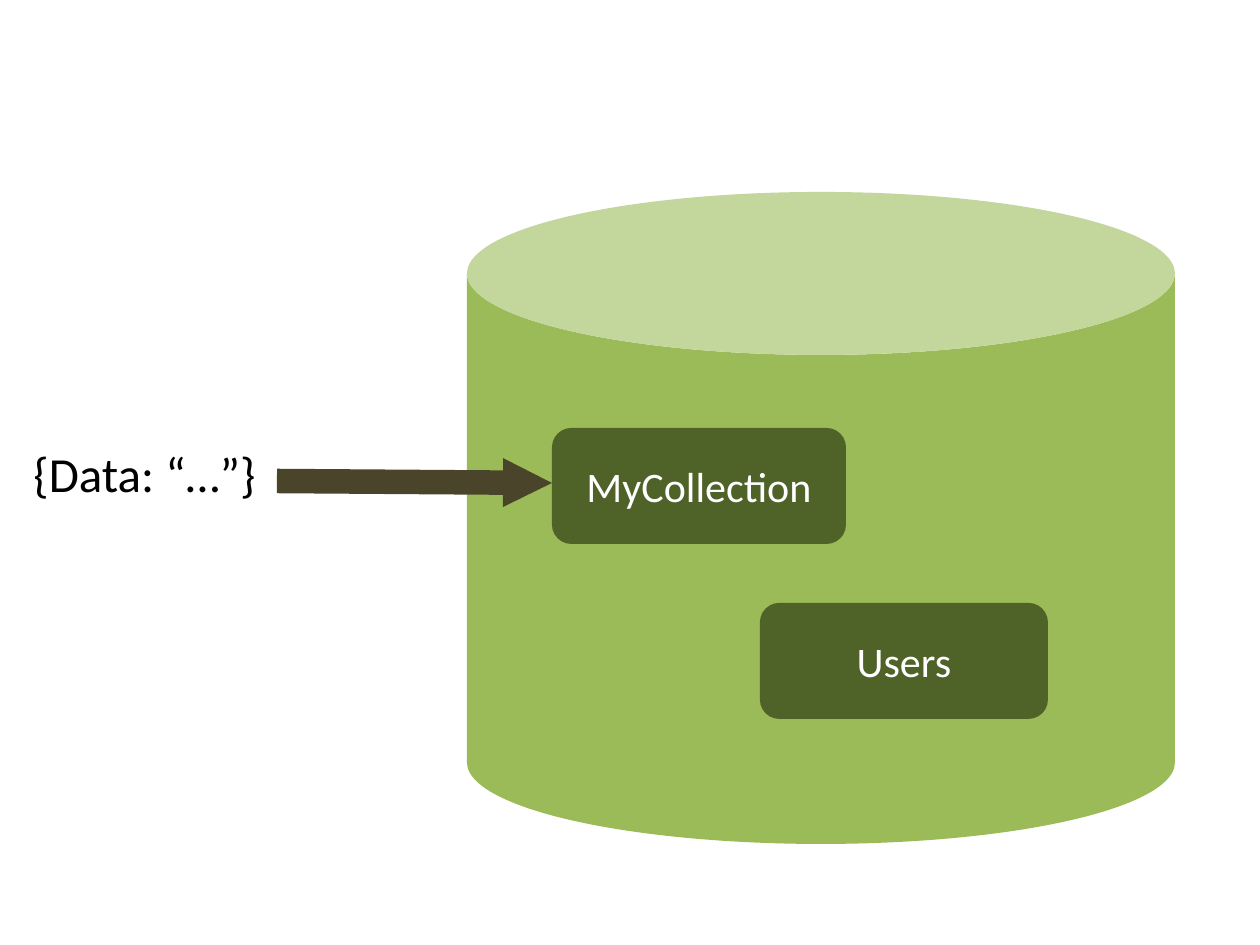
from dataclasses import dataclass

from lxml.etree import SubElement
from pptx import Presentation
from pptx.dml.color import RGBColor
from pptx.enum.shapes import MSO_CONNECTOR, MSO_SHAPE
from pptx.enum.text import MSO_ANCHOR, PP_ALIGN
from pptx.oxml.ns import qn
from pptx.shapes.autoshape import Shape
from pptx.shapes.connector import Connector
from pptx.slide import Slide
from pptx.util import Emu, Pt


@dataclass(frozen=True)
class Theme:
    """Hold the colours, font and sizes of the slide."""
    font: str = "Calibri"
    store: str = "9BBB59"
    box: str = "4F6228"
    arrow: str = "4A452A"
    light: str = "FFFFFF"
    dark: str = "000000"
    label: int = 24
    data: int = 28
    line: int = 14


@dataclass(frozen=True)
class Box:
    """Describe one collection in the store, in pixels."""
    name: str
    left: int
    top: int
    width: int
    height: int = 116


THEME = Theme()
SCALE = 914400 // 126
BOXES = [
    Box("MyCollection", 552, 428, 294),
    Box("Users", 760, 603, 288),
]


def px(count: int) -> Emu:
    """Turn pixels into EMU."""
    return Emu(count * SCALE)


def write(shape: Shape, text: str, *, size: int, color: str,
          align: PP_ALIGN = PP_ALIGN.LEFT,
          anchor: MSO_ANCHOR = MSO_ANCHOR.TOP) -> None:
    """Put formatted text in a shape."""
    frame = shape.text_frame
    frame.word_wrap = True
    frame.vertical_anchor = anchor
    para = frame.paragraphs[0]
    para.alignment = align
    run = para.add_run()
    run.text = text
    run.font.name = THEME.font
    run.font.size = Pt(size)
    run.font.color.rgb = RGBColor.from_string(color)


def draw(slide: Slide, kind: MSO_SHAPE, fill: str, left: int, top: int,
         width: int, height: int) -> Shape:
    """Add a flat filled shape without an outline."""
    shape = slide.shapes.add_shape(kind, px(left), px(top), px(width), px(height))
    shape.shadow.inherit = False
    shape.fill.solid()
    shape.fill.fore_color.rgb = RGBColor.from_string(fill)
    shape.line.fill.background()
    return shape


def draw_box(slide: Slide, box: Box) -> None:
    """Add a collection with its centred name."""
    shape = draw(slide, MSO_SHAPE.ROUNDED_RECTANGLE, THEME.box,
                 box.left, box.top, box.width, box.height)
    write(shape, box.name, size=THEME.label, color=THEME.light,
          align=PP_ALIGN.CENTER, anchor=MSO_ANCHOR.MIDDLE)


def draw_arrow(slide: Slide, x1: int, y1: int, x2: int, y2: int) -> Connector:
    """Add a thick arrow with a small head."""
    arrow = slide.shapes.add_connector(
        MSO_CONNECTOR.STRAIGHT, px(x1), px(y1), px(x2), px(y2))
    arrow.line.color.rgb = RGBColor.from_string(THEME.arrow)
    arrow.line.width = Pt(THEME.line)
    props = arrow.line._get_or_add_ln()
    SubElement(props, qn("a:tailEnd"), type="triangle", w="sm", len="sm")
    SubElement(arrow._element.spPr, qn("a:effectLst"))
    return arrow


def main() -> None:
    """Build and save the slide."""
    deck = Presentation()
    deck.slide_width, deck.slide_height = px(1260), px(945)
    slide = deck.slides.add_slide(deck.slide_layouts[6])
    draw(slide, MSO_SHAPE.CAN, THEME.store, 467, 192, 708, 652)
    for box in BOXES:
        draw_box(slide, box)
    data = slide.shapes.add_textbox(px(21), px(437), px(258), px(72))
    write(data, "{Data: “…”}", size=THEME.data, color=THEME.dark)
    draw_arrow(slide, 277, 481, 552, 483)
    deck.save("out.pptx")


main()
